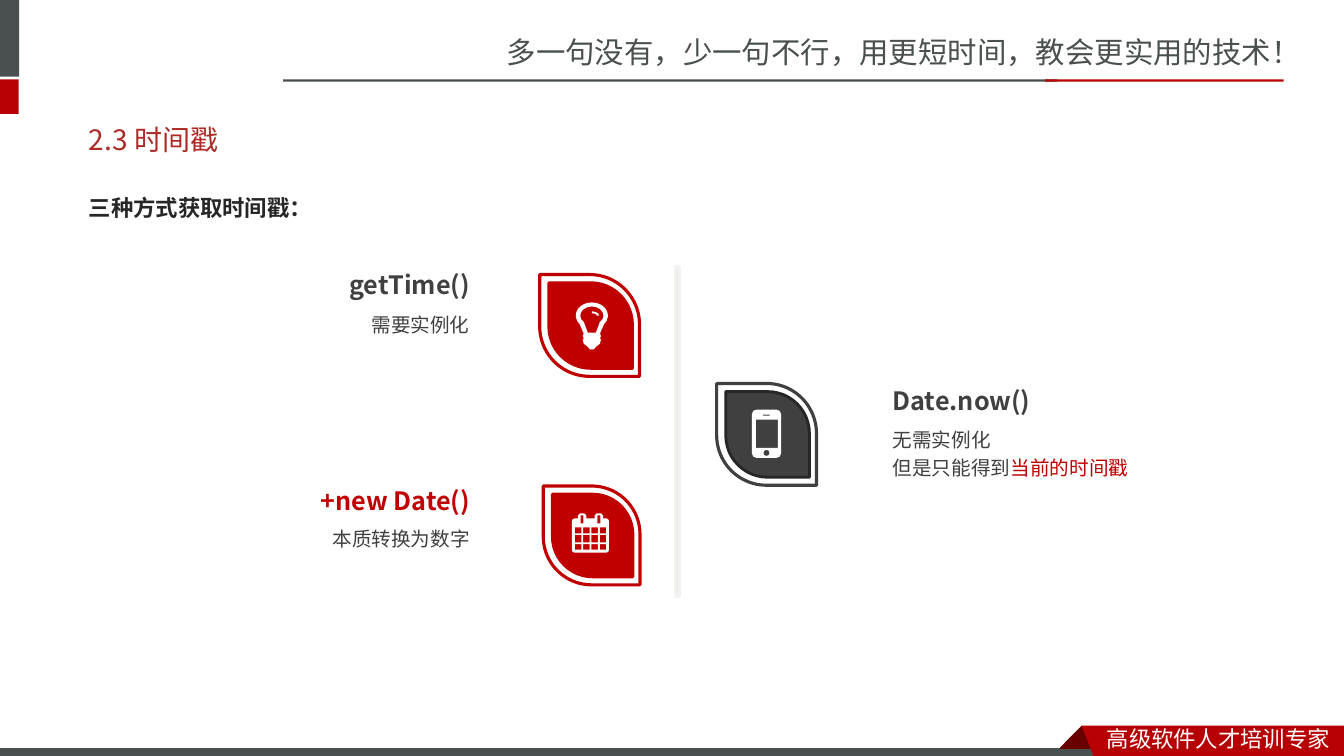
import math
from dataclasses import dataclass

from lxml import etree
from pptx import Presentation
from pptx.dml.color import RGBColor
from pptx.enum import shapes as sh, text as tx
from pptx.oxml.ns import qn
from pptx.util import Pt


@dataclass(frozen=True)
class Theme:
    slate: str = "49504F"
    crimson: str = "B60004"
    fold: str = "680000"
    title: str = "AD2A26"
    red: str = "C00000"
    dark: str = "404040"
    ink: str = "262626"
    white: str = "FFFFFF"
    rule: str = "EEECE1"
    rule_edge: str = "F2F2F2"
    frame_font: str = "Noto Sans CJK SC"
    font: str = "Noto Sans CJK JP"
    slogan_size: int = 21
    title_size: int = 20
    head_size: int = 18
    lead_size: int = 16
    note_size: int = 14


T = Theme()
SLOGAN = "多一句没有，少一句不行，用更短时间，教会更实用的技术！"
FOOTER = "高级软件人才培训专家"
TITLE = "2.3 时间戳"
LEAD = "三种方式获取时间戳："

# left, top, width, height, fill, edge
BARS = [
    (-4.3, 0, 18, 54.7, T.slate, None),
    (-4.3, 56.7, 17.6, 24.7, T.crimson, None),
    (202.3, 56.7, 553, 1.6, T.slate, None),
    (746.6, 56.7, 170.4, 1.6, T.crimson, None),
    (-0.7, 533.9, 792, 8.6, T.slate, (T.white, 0.75)),
    (482.4, 190.1, 2.9, 236.2, T.rule, (T.rule_edge, 2)),
]
FOLD = [(772.6, 518.4), (788.4, 534.2), (787.7, 535), (757.4, 535), (757, 534.2)]
RIBBON = [(772.6, 518.4), (960, 518.4), (960, 542.9), (781.9, 542.2)]

# Paragraphs are lists of (text, colour) runs.
METHODS = [
    dict(leaf=(384.8, 196.8, 72.7, 71.3), fill=T.red, edge=T.red,
         icon="bulb", icon_at=(411.3, 216), align="RIGHT",
         head=("getTime()", T.dark), head_box=(205.2, 192.2, 137.5, 22.3),
         note=[[("需要实例化", T.dark)]], note_box=(156.8, 220.3, 185.8, 23)),
    dict(leaf=(511.2, 274.6, 72.7, 71.3), fill=T.dark, edge=T.ink,
         icon="phone", icon_at=(537, 292.5), align="LEFT",
         head=("Date.now()", T.dark), head_box=(630.5, 275, 168.5, 22.3),
         note=[[("无需实例化", T.dark)],
               [("但是只能得到", T.dark), ("当前的时间戳", T.red)]],
         note_box=(630.5, 303.8, 185.8, 40.3)),
    dict(leaf=(387.3, 347.9, 70.6, 69.1), fill=T.red, edge=T.red,
         icon="calendar", icon_at=(408.5, 366.7), align="RIGHT",
         head=("+new Date()", T.red), head_box=(205.2, 346.3, 137.5, 22.3),
         note=[[("本质转换为数字", T.dark)]], note_box=(157, 374.4, 185.8, 20.2)),
]


def arc(cx, cy, rx, ry, start, end, steps):
    angles = [math.radians(start + (end - start) * i / steps) for i in range(steps + 1)]
    return [(cx + rx * math.cos(a), cy + ry * math.sin(a)) for a in angles]


def rect(x, y, w, h):
    return [(x, y), (x + w, y), (x + w, y + h), (x, y + h)]


def round_rect(x, y, w, h, r):
    corners = [(x + w - r, y + r, -90), (x + w - r, y + h - r, 0),
               (x + r, y + h - r, 90), (x + r, y + r, 180)]
    return [pt for cx, cy, a in corners for pt in arc(cx, cy, r, r, a, a + 90, 2)]


def bulb():
    right = [(17.3, 22.3), (18, 23.8), (17.3, 25.9), (18, 26.6),
             (17.3, 29.5), (14.4, 31.7), (13, 33.6)]
    left = [(23 - x, y) for x, y in reversed(right)]
    glass = arc(11.5, 9.4, 11.5, 9.4, 139, 401, 14) + right + left
    hollow = arc(11.5, 9.4, 8.3, 6.5, 133, 407, 12) + [(14.4, 21.6), (8.6, 21.6)]
    glint = arc(11.5, 9.4, 5.2, 3, -90, 0, 3) + arc(11.5, 9.4, 3.6, 1.6, 0, -90, 3)
    return [glass, hollow, glint]


def phone():
    return [round_rect(0, 0, 21, 34.6, 3.5), rect(2.9, 7.2, 15.8, 20.2),
            rect(8, 3.6, 5, 0.7), arc(10.5, 31, 2.2, 2.2, 0, 315, 7)]


def calendar():
    outlines = [round_rect(0, 3.6, 26.5, 24.5, 2)]
    for x in (4.3, 16.3):
        ring = [(x, 3.6), (x, 1.5), (x + 1.5, 0), (x + 4.5, 0), (x + 6, 1.5), (x + 6, 3.6)]
        outlines += [ring, rect(x + 2, 1.4, 2, 5.8)]
    for y, h in ((10, 4.3), (15.4, 5.4), (21.9, 4.1)):
        outlines += [rect(2.2 + 5.9 * col, y, 4.6, h) for col in range(4)]
    return outlines


ICONS = {"bulb": bulb, "phone": phone, "calendar": calendar}


def rgb(color):
    return RGBColor.from_string(color)


def paint(sp, fill=None, edge=None):
    sp.shadow.inherit = False
    if fill:
        sp.fill.solid()
        sp.fill.fore_color.rgb = rgb(fill)
    else:
        sp.fill.background()
    if edge:
        sp.line.color.rgb, sp.line.width = rgb(edge[0]), Pt(edge[1])
    else:
        sp.line.fill.background()


def add_preset(shapes, kind, box, fill=None, edge=None):
    sp = shapes.add_shape(kind, *map(Pt, box))
    paint(sp, fill, edge)
    return sp


def add_outline(shapes, outlines, fill, at=(0, 0)):
    """Draw closed outlines as one shape; inner ones become holes."""
    fine = [[(round(x * 100), round(y * 100)) for x, y in pts] for pts in outlines]
    fb = shapes.build_freeform(*fine[0][0], scale=Pt(1) / 100)
    for i, pts in enumerate(fine):
        if i:
            fb.move_to(*pts[0])
        fb.add_line_segments(pts[1:], close=True)
    paint(fb.convert_to_shape(*map(Pt, at)), fill)


def write(tf, paragraphs, size, font=T.font, bold=False, align="LEFT", anchor="MIDDLE"):
    tf.word_wrap = True
    tf.auto_size = tx.MSO_AUTO_SIZE.NONE
    tf.vertical_anchor = tx.MSO_ANCHOR[anchor]
    for i, runs in enumerate(paragraphs):
        p = tf.add_paragraph() if i else tf.paragraphs[0]
        p.alignment = tx.PP_ALIGN[align]
        p.space_before = Pt(size * 0.2 if i else 0)
        for content, color in runs:
            r = p.add_run()
            r.text = content
            r.font.size, r.font.bold, r.font.name = Pt(size), bold, font
            r.font.color.rgb = rgb(color)
            etree.SubElement(r.font._element, qn("a:ea")).set("typeface", font)


def add_text(s, box, *args, **kwargs):
    write(s.shapes.add_textbox(*map(Pt, box)).text_frame, *args, **kwargs)


def place(sp, box):
    sp.left, sp.top, sp.width, sp.height = map(Pt, box)
    return sp.text_frame


def add_method(s, m):
    group = s.shapes.add_group_shape().shapes
    x, y, w, h = m["leaf"]
    core = (x + 6.5, y + 5.8, w - 11.5, h - 11.5)
    for box, fill, edge in ((m["leaf"], None, (m["fill"], 2.25)),
                            (core, m["fill"], (m["edge"], 2))):
        sp = add_preset(group, sh.MSO_SHAPE.ROUND_2_DIAG_RECTANGLE, box, fill, edge)
        sp.adjustments[0], sp.adjustments[1] = 0.5, 0
        sp.rotation = 270
    add_outline(group, ICONS[m["icon"]](), T.white, m["icon_at"])
    add_text(s, m["head_box"], [[m["head"]]], T.head_size, bold=True, align=m["align"])
    add_text(s, m["note_box"], m["note"], T.note_size, align=m["align"])


def main():
    prs = Presentation()
    prs.slide_width, prs.slide_height = Pt(960), Pt(540)
    s = prs.slides.add_slide(prs.slide_layouts[1])
    for *box, fill, edge in BARS:
        add_preset(s.shapes, sh.MSO_SHAPE.RECTANGLE, box, fill, edge)
    add_outline(s.shapes, [FOLD], T.fold)
    add_outline(s.shapes, [RIBBON], T.crimson)
    add_text(s, (354.8, 20.5, 605.5, 33.8), [[(SLOGAN, T.slate)]], T.slogan_size,
             font=T.frame_font, anchor="TOP")
    add_text(s, (783.4, 514.4, 176.4, 26.6), [[(FOOTER, T.white)]], T.lead_size,
             font=T.frame_font, anchor="TOP")

    write(place(s.shapes.title, (56.2, 79.2, 846, 41)), [[(TITLE, T.title)]], T.title_size)
    body = place(s.placeholders[1], (56.2, 125.3, 843.8, 358.6))
    p = body.paragraphs[0]
    pPr = p._p.get_or_add_pPr()
    pPr.set("marL", "0")
    pPr.set("indent", "0")
    etree.SubElement(pPr, qn("a:buNone"))
    p.line_spacing = 1.5
    write(body, [[(LEAD, T.ink)]], T.lead_size, bold=True, anchor="TOP")

    for m in METHODS:
        add_method(s, m)
    prs.save("out.pptx")


if __name__ == "__main__":
    main()
